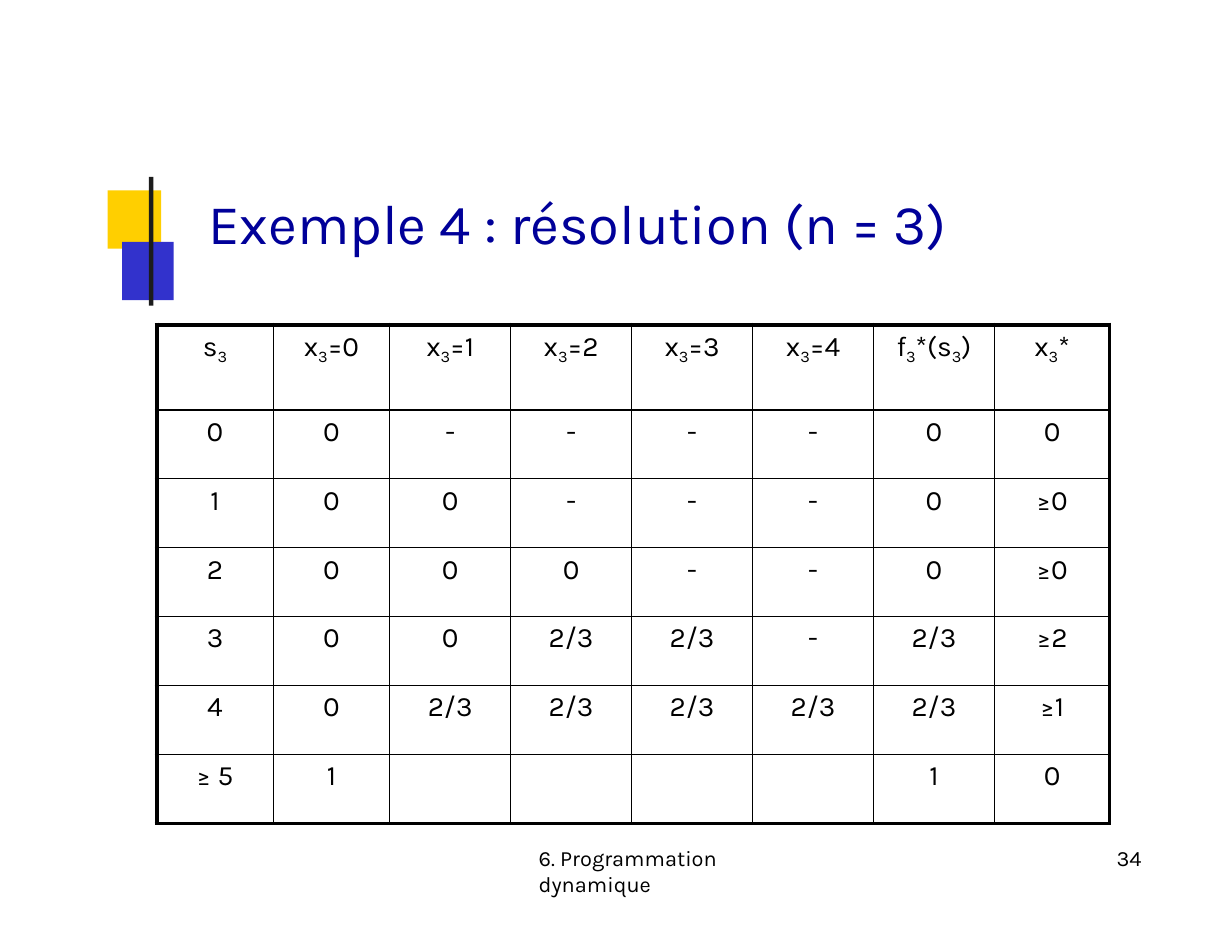
from dataclasses import dataclass

from lxml.etree import SubElement
from pptx import Presentation
from pptx.dml.color import RGBColor
from pptx.enum.shapes import MSO_SHAPE
from pptx.enum.text import PP_ALIGN
from pptx.oxml.ns import qn
from pptx.slide import Slide
from pptx.table import _Cell
from pptx.text.text import _Paragraph
from pptx.util import Inches, Pt

COLOURS = {
    "gold": "FFCF00",
    "blue": "3232CC",
    "bar": "1C1C1C",
    "title": "000099",
    "text": "000000",
}
FONT = "Karla"
INSETS = {"margin_left": 0, "margin_right": 0, "margin_bottom": 0}


@dataclass
class Block:
    left: float
    top: float
    width: float
    height: float
    colour: str


@dataclass
class Label(Block):
    text: str
    size: float


ORNAMENT = [
    Block(0.96, 1.7, 0.48, 0.52, "gold"),
    Block(1.09, 2.16, 0.46, 0.52, "blue"),
    Block(1.33, 1.58, 0.04, 1.15, "bar"),
]
LABELS = [
    Label(1.86, 1.67, 8.33, 0.63, "title", "Exemple 4 : résolution (n = 3)", 36),
    Label(4.81, 7.53, 2.56, 0.26, "text", "6. Programmation dynamique", 14),
    Label(9.97, 7.53, 0.27, 0.26, "text", "34", 14),
]

# An underscore lowers the character that follows it.
ROWS = [
    ["s_3", *(f"x_3={value}" for value in range(5)), "f_3*(s_3)", "x_3*"],
    ["0", "0", "-", "-", "-", "-", "0", "0"],
    ["1", "0", "0", "-", "-", "-", "0", "≥0"],
    ["2", "0", "0", "0", "-", "-", "0", "≥0"],
    ["3", "0", "0", "2/3", "2/3", "-", "2/3", "≥2"],
    ["4", "0", "2/3", "2/3", "2/3", "2/3", "2/3", "≥1"],
    ["≥ 5", "1", "", "", "", "", "1", "0"],
]
COLUMN_WIDTHS = [1.04, 1.04, 1.08, 1.08, 1.08, 1.08, 1.08, 1.03]
TABLE_HEIGHT = 4.45
HEADER_HEIGHT = 0.76


def colour_of(name: str) -> RGBColor:
    return RGBColor.from_string(COLOURS[name])


def add_span(para: _Paragraph, text: str, size: float, colour: str, lowered: bool = False) -> None:
    span = para.add_run()
    span.text = text
    for name, value in {"name": FONT, "size": Pt(size)}.items():
        setattr(span.font, name, value)
    span.font.color.rgb = colour_of(colour)
    if lowered:
        span.font._element.set("baseline", "-23000")


def draw_block(page: Slide, block: Block) -> None:
    shape = page.shapes.add_shape(
        MSO_SHAPE.RECTANGLE,
        Inches(block.left), Inches(block.top), Inches(block.width), Inches(block.height),
    )
    shape.shadow.inherit = False
    shape.fill.solid()
    shape.fill.fore_color.rgb = colour_of(block.colour)
    shape.line.fill.background()


def draw_label(page: Slide, label: Label) -> None:
    box = page.shapes.add_textbox(
        Inches(label.left), Inches(label.top), Inches(label.width), Inches(label.height)
    )
    frame = box.text_frame
    for name, value in {**INSETS, "margin_top": Inches(0.01), "word_wrap": True}.items():
        setattr(frame, name, value)
    add_span(frame.paragraphs[0], label.text, label.size, label.colour)


def set_borders(cell: _Cell, widths: dict[str, float]) -> None:
    """Draw the sides; they must come before the fill in the cell properties."""
    properties = cell._tc.get_or_add_tcPr()
    for position, (side, width) in enumerate(widths.items()):
        line = SubElement(properties, qn(f"a:{side}"), w=str(Pt(width)))
        solid = SubElement(line, qn("a:solidFill"))
        SubElement(solid, qn("a:srgbClr"), val=COLOURS["text"])
        properties.insert(position, line)


def fill_cell(cell: _Cell, text: str) -> None:
    for name, value in {**INSETS, "margin_top": Inches(0.05)}.items():
        setattr(cell, name, value)
    cell.fill.background()
    para = cell.text_frame.paragraphs[0]
    para.alignment = PP_ALIGN.CENTER
    first, *others = text.split("_")
    if first:
        add_span(para, first, 18, "text")
    for piece in others:
        add_span(para, piece[0], 18, "text", lowered=True)
        if piece[1:]:
            add_span(para, piece[1:], 18, "text")


def draw_table(page: Slide) -> None:
    last_row, last_column = len(ROWS) - 1, len(COLUMN_WIDTHS) - 1
    frame = page.shapes.add_table(
        len(ROWS), len(COLUMN_WIDTHS),
        Inches(1.4), Inches(2.9), Inches(sum(COLUMN_WIDTHS)), Inches(TABLE_HEIGHT),
    )
    table = frame.table
    for name in ("first_row", "horz_banding"):
        setattr(table, name, False)
    for column, width in zip(table.columns, COLUMN_WIDTHS):
        column.width = Inches(width)
    for row in table.rows:
        row.height = Inches((TABLE_HEIGHT - HEADER_HEIGHT) / last_row)
    table.rows[0].height = Inches(HEADER_HEIGHT)

    for row_index, row_texts in enumerate(ROWS):
        for column_index, text in enumerate(row_texts):
            cell = table.cell(row_index, column_index)
            fill_cell(cell, text)
            set_borders(cell, {
                "lnL": 3 if column_index == 0 else 1,
                "lnR": 2.25 if column_index == last_column else 1,
                "lnT": 3 if row_index == 0 else 1,
                "lnB": 2.25 if row_index == last_row else 1,
            })


def main() -> None:
    deck = Presentation()
    deck.slide_width, deck.slide_height = Inches(11), Inches(8.5)
    page = deck.slides.add_slide(deck.slide_layouts[6])
    for block in ORNAMENT:
        draw_block(page, block)
    for label in LABELS:
        draw_label(page, label)
    draw_table(page)
    deck.save("out.pptx")


if __name__ == "__main__":
    main()
